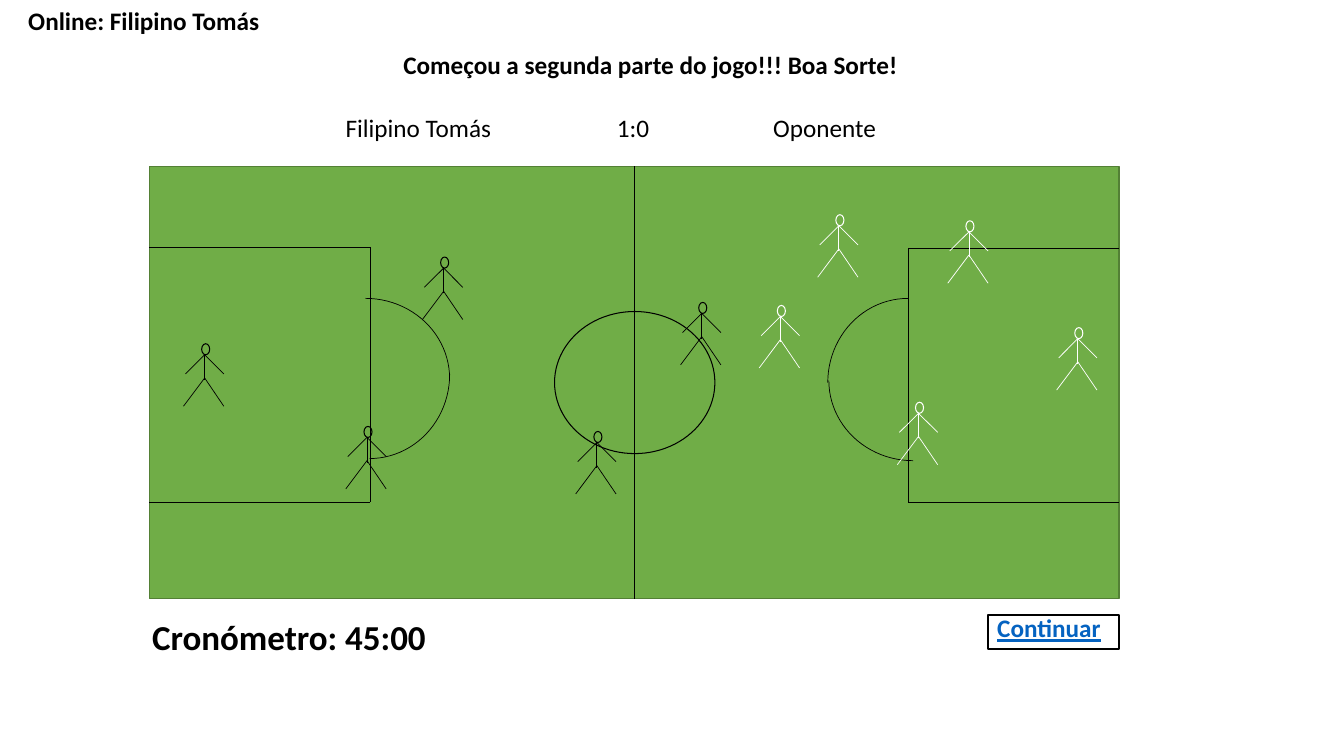
from dataclasses import dataclass

from lxml.etree import SubElement
from pptx import Presentation
from pptx.dml.color import RGBColor
from pptx.enum.shapes import MSO_CONNECTOR, MSO_SHAPE
from pptx.enum.text import MSO_ANCHOR, MSO_AUTO_SIZE, PP_ALIGN
from pptx.oxml.ns import qn
from pptx.util import Pt

PX = 9144


@dataclass(frozen=True)
class Theme:
    font: str = "Calibri"
    black: str = "000000"
    white: str = "FFFFFF"
    grass: str = "70AD47"
    grass_edge: str = "538035"
    link: str = "0563C1"
    body_size: int = 18
    clock_size: int = 25
    thin: float = 0.5
    medium: float = 0.75
    thick: float = 1


class SlideBuilder:
    def __init__(self, slide, theme):
        self.slide = slide
        self.theme = theme

    def style_text(self, paragraph, size=None, color=None, bold=False, underline=False):
        paragraph.alignment = PP_ALIGN.LEFT
        font = paragraph.font
        font.name = self.theme.font
        font.size = Pt(size or self.theme.body_size)
        font.color.rgb = RGBColor.from_string(color or self.theme.black)
        font.bold = bold
        font.underline = underline

    def title(self, text, left, top, width, height):
        shape = self.slide.shapes.title
        shape.left, shape.top, shape.width, shape.height = (
            value * PX for value in (left, top, width, height))
        frame = shape.text_frame
        frame.text = text
        frame.word_wrap = False
        frame.auto_size = MSO_AUTO_SIZE.NONE
        frame.vertical_anchor = MSO_ANCHOR.TOP
        self.style_text(frame.paragraphs[0], bold=True)

    def tabbed_text(self, parts, stops, left, top, width, height):
        box = self.slide.shapes.add_textbox(left * PX, top * PX, width * PX, height * PX)
        box.text_frame.word_wrap = True
        paragraph = box.text_frame.paragraphs[0]
        paragraph.text = "\t".join(parts)
        tabs = SubElement(paragraph._p.get_or_add_pPr(), qn("a:tabLst"))
        for stop in stops:
            SubElement(tabs, qn("a:tab"), pos=str(stop * PX), algn="l")
        self.style_text(paragraph)

    def shape(self, kind, left, top, width, height, line, weight, fill=None, rotation=0):
        shape = self.slide.shapes.add_shape(
            kind, left * PX, top * PX, width * PX, height * PX)
        shape.shadow.inherit = False
        shape.rotation = rotation
        if fill:
            shape.fill.solid()
            shape.fill.fore_color.rgb = RGBColor.from_string(fill)
        else:
            shape.fill.background()
        shape.line.color.rgb = RGBColor.from_string(line)
        shape.line.width = Pt(weight)
        return shape

    def line(self, start, end, color):
        connector = self.slide.shapes.add_connector(
            MSO_CONNECTOR.STRAIGHT, *(value * PX for value in (*start, *end)))
        connector.line.color.rgb = RGBColor.from_string(color)
        connector.line.width = Pt(self.theme.thin)
        SubElement(connector._element.spPr, qn("a:effectLst"))
        return connector

    def path_lines(self, points, color):
        for start, end in zip(points, points[1:]):
            self.line(start, end, color)

    def player(self, x, y, color):
        hip = (x, y + 23)
        self.path_lines([(x - 21, y + 51), hip, (x + 19, y + 51)], color)
        self.line((x, y + 25), (x, y), color)
        for reach in (19, -19):
            self.line((x, y), (x + reach, y + 19), color)
        self.shape(MSO_SHAPE.FLOWCHART_CONNECTOR, x - 3, y - 11, 8, 11,
                   color, self.theme.medium)

    def label_table(self, text, left, top, width, height, indent=10, fill=None, **style):
        frame = self.slide.shapes.add_table(
            1, 1, left * PX, top * PX, width * PX, height * PX)
        table = frame.table
        table.first_row = False
        table.horz_banding = False
        cell = table.cell(0, 0)
        cell.margin_left = indent * PX
        cell.text = text
        self.style_text(cell.text_frame.paragraphs[0], bold=True, **style)
        properties = cell._tc.get_or_add_tcPr()
        for side, weight in (("lnL", 1), ("lnR", 1), ("lnT", 1), ("lnB", 3)):
            border = SubElement(properties, qn(f"a:{side}"), w=str(Pt(weight)))
            color = SubElement(SubElement(border, qn("a:solidFill")), qn("a:srgbClr"))
            color.set("val", self.theme.white)
        if fill:
            cell.fill.solid()
            cell.fill.fore_color.rgb = RGBColor.from_string(fill)
        else:
            cell.fill.background()


def draw_field(builder):
    theme = builder.theme
    left, top, width, height = 148, 165, 962, 429
    field = builder.shape(MSO_SHAPE.RECTANGLE, left, top, width, height,
                          theme.grass_edge, theme.thick, theme.grass)
    for goal_line, box_edge, box_top in ((left, 367, 245), (left + width, 901, 246)):
        builder.path_lines([(goal_line, box_top), (box_edge, box_top),
                            (box_edge, 498), (goal_line, 498)], theme.black)
    for arc_left, arc_top, rotation in (
            (279, 296, 0), (283, 292, 90), (817, 300, 270), (822, 298, 180)):
        builder.shape(MSO_SHAPE.ARC, arc_left, arc_top, 167, 159,
                      theme.black, theme.thin, rotation=rotation)
    builder.shape(MSO_SHAPE.FLOWCHART_CONNECTOR, 550, 309, 159, 141,
                  theme.black, theme.medium)
    middle = left + width // 2
    halfway = builder.line((middle, top), (middle, top + height), theme.black)
    halfway.begin_connect(field, 0)
    halfway.end_connect(field, 2)


def draw_players(builder):
    teams = {
        builder.theme.black: [(203, 352), (364, 434), (440, 266), (696, 311), (592, 439)],
        builder.theme.white: [(961, 230), (1069, 336), (911, 410), (774, 314), (832, 224)],
    }
    for color, positions in teams.items():
        for x, y in positions:
            builder.player(x, y, color)


def main():
    presentation = Presentation()
    presentation.slide_width = 1333 * PX
    presentation.slide_height = 750 * PX
    theme = Theme()
    builder = SlideBuilder(
        presentation.slides.add_slide(presentation.slide_layouts[5]), theme)
    builder.title("Começou a segunda parte do jogo!!! Boa Sorte!", 390, 44, 515, 71)
    draw_field(builder)
    builder.label_table("Online: Filipino Tomás", 13, 1, 260, 41,
                        indent=15, fill=theme.white)
    draw_players(builder)
    builder.tabbed_text(["Filipino Tomás", "1:0", "Oponente"], [269, 424],
                        333, 107, 803, 40)
    builder.label_table("Cronómetro: 45:00", 141, 607, 338, 52, size=theme.clock_size)
    builder.label_table("Continuar", 979, 604, 138, 41, color=theme.link, underline=True)
    builder.shape(MSO_SHAPE.RECTANGLE, 980, 610, 130, 34, theme.black, theme.thick)
    presentation.save("out.pptx")


if __name__ == "__main__":
    main()
